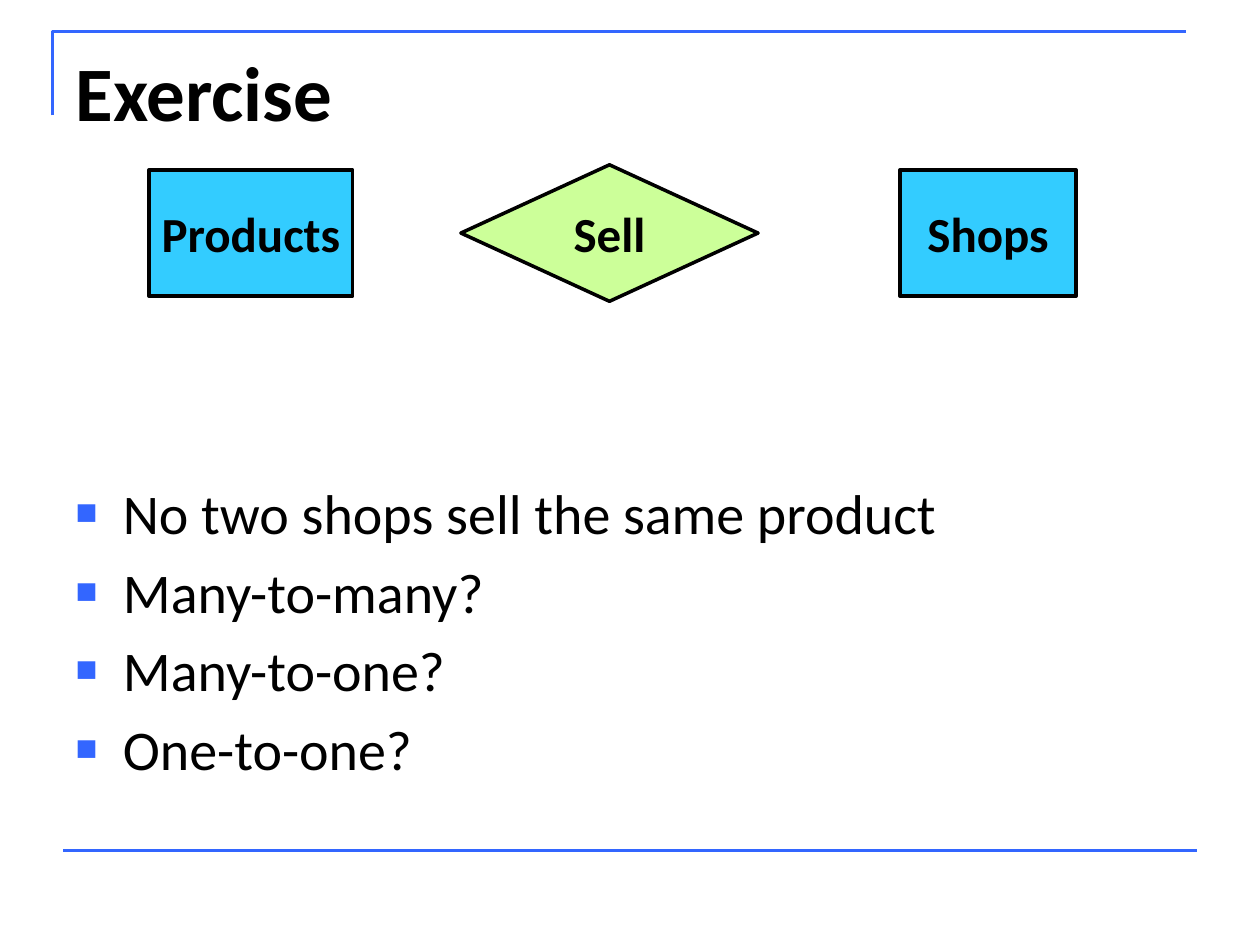
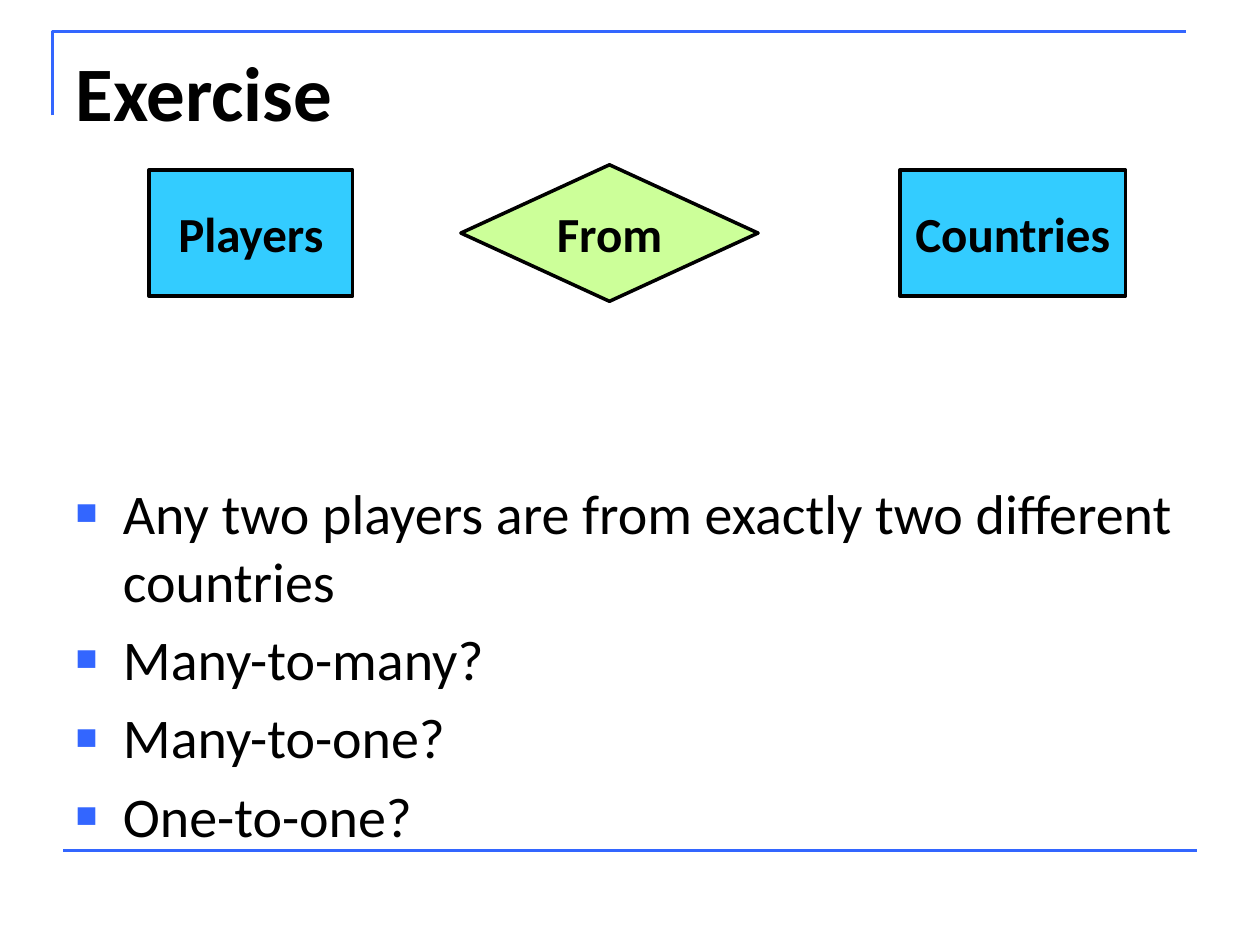
from dataclasses import dataclass

import pptx
import pptx.dml.color
import pptx.enum.shapes
import pptx.enum.text
import pptx.oxml
import pptx.oxml.ns
import pptx.util
from lxml import etree

Pt = pptx.util.Pt
RGB = pptx.dml.color.RGBColor
Kind = pptx.enum.shapes.MSO_SHAPE
Align = pptx.enum.text.PP_ALIGN
Anchor = pptx.enum.text.MSO_ANCHOR
qn = pptx.oxml.ns.qn

# Look shared by both slides
BLUE = RGB(0x33, 0x66, 0xFF)
CYAN = RGB(0x33, 0xCC, 0xFF)
LIME = RGB(0xCC, 0xFF, 0x99)
BLACK = RGB(0, 0, 0)
FACE = "Calibri"

# Grid of 120 columns by 90 rows
COLS, ROWS = 120, 90
WIDE, HIGH = pptx.util.Inches(10), pptx.util.Inches(7.5)
INDENT = 4.5
MID = 22.2  # row on which the diagram is centred


@dataclass(frozen=True)
class Area:
    col: float
    row: float
    cols: float
    rows: float


@dataclass(frozen=True)
class Node:
    text: str
    col: float
    cols: float
    rows: float = 12
    kind: Kind = Kind.RECTANGLE
    fill: RGB = CYAN


@dataclass(frozen=True)
class Topic:
    claim: str
    nodes: tuple[Node, ...]


TITLE = Area(6, 3.6, 108, 15)
BODY = Area(6, 45, 108, 35.4)
CHOICES = ("Many-to-many?", "Many-to-one?", "One-to-one?")


def link(left: str, verb: str, right: str, cols: float) -> tuple[Node, ...]:
    """Two entities and the relation between them."""
    return (
        Node(right, 85.7, cols),
        Node(left, 14.2, 19.4),
        Node(verb, 43.9, 28.3, 13, Kind.DIAMOND, LIME),
    )


TOPICS = (
    Topic("No two shops sell the same product",
          link("Products", "Sell", "Shops", 16.8)),
    Topic("Any two players are from exactly two different countries",
          link("Players", "From", "Countries", 21.5)),
)


def across(cols: float) -> int:
    return round(WIDE * cols / COLS)


def down(rows: float) -> int:
    return round(HIGH * rows / ROWS)


def place(shape, area: Area) -> None:
    shape.left, shape.top = across(area.col), down(area.row)
    shape.width, shape.height = across(area.cols), down(area.rows)


def write(par, text: str, size: float, bold: bool = False) -> None:
    run = par.add_run()
    run.text = text
    font = run.font
    font.name, font.size, font.bold = FACE, Pt(size), bold
    font.color.rgb = BLACK


def bullet(par) -> None:
    props = par._p.get_or_add_pPr()
    props.set("marL", str(across(INDENT)))
    props.set("indent", str(-across(INDENT)))
    color = etree.SubElement(props, qn("a:buClr"))
    etree.SubElement(color, qn("a:srgbClr"), val=str(BLUE))
    etree.SubElement(props, qn("a:buSzPct"), val="65000")
    etree.SubElement(props, qn("a:buFont"), typeface="Arial")
    etree.SubElement(props, qn("a:buChar"), char="■")


def frame(slide, layout) -> None:
    """Draw the corner and the foot rule, then hand them to the layout."""
    pen = slide.shapes.build_freeform(across(5), down(11))
    pen.add_line_segments(
        [(across(5), down(3)), (across(113), down(3))], close=False)
    corner = pen.convert_to_shape()
    corner.fill.background()
    corner.shadow.inherit = False
    rule = slide.shapes.add_connector(
        pptx.enum.shapes.MSO_CONNECTOR.STRAIGHT,
        across(6), down(81), across(114), down(81))
    for num, part in enumerate((corner, rule), start=20):
        part.line.color.rgb = BLUE
        part.line.width = Pt(1.5)
        part.element.xpath(".//p:cNvPr")[0].set("id", str(num))
        layout.shapes.element.append(part.element)
    etree.SubElement(rule.element.spPr, qn("a:effectLst"))


def draw(slide, node: Node) -> None:
    shape = slide.shapes.add_shape(node.kind, 0, 0, 0, 0)
    place(shape, Area(node.col, MID - node.rows / 2, node.cols, node.rows))
    shape.shadow.inherit = False
    shape.fill.solid()
    shape.fill.fore_color.rgb = node.fill
    shape.line.color.rgb = BLACK
    shape.line.width = Pt(2)
    text = shape.text_frame
    text.word_wrap = False
    text.vertical_anchor = Anchor.MIDDLE
    par = text.paragraphs[0]
    par.alignment = Align.CENTER
    write(par, node.text, 28, True)


def fill(slide, topic: Topic) -> None:
    # Title
    head = slide.shapes.title
    place(head, TITLE)
    head.text_frame.vertical_anchor = Anchor.TOP
    par = head.text_frame.paragraphs[0]
    par.alignment = Align.LEFT
    write(par, "Exercise", 44, True)

    # Claim and choices
    body = slide.placeholders[1]
    place(body, BODY)
    text = body.text_frame
    text.auto_size = pptx.enum.text.MSO_AUTO_SIZE.NONE
    for num, line in enumerate((topic.claim, *CHOICES)):
        par = text.add_paragraph() if num else text.paragraphs[0]
        par.space_before = Pt(6.4 if num else 0)
        bullet(par)
        write(par, line, 32)

    # Diagram
    for node in topic.nodes:
        draw(slide, node)


def main() -> None:
    deck = pptx.Presentation()
    deck.slide_width, deck.slide_height = WIDE, HIGH
    layout = deck.slide_layouts[1]
    for num, topic in enumerate(TOPICS):
        slide = deck.slides.add_slide(layout)
        if num == 0:
            frame(slide, layout)
        fill(slide, topic)
    deck.save("out.pptx")


if __name__ == "__main__":
    main()
